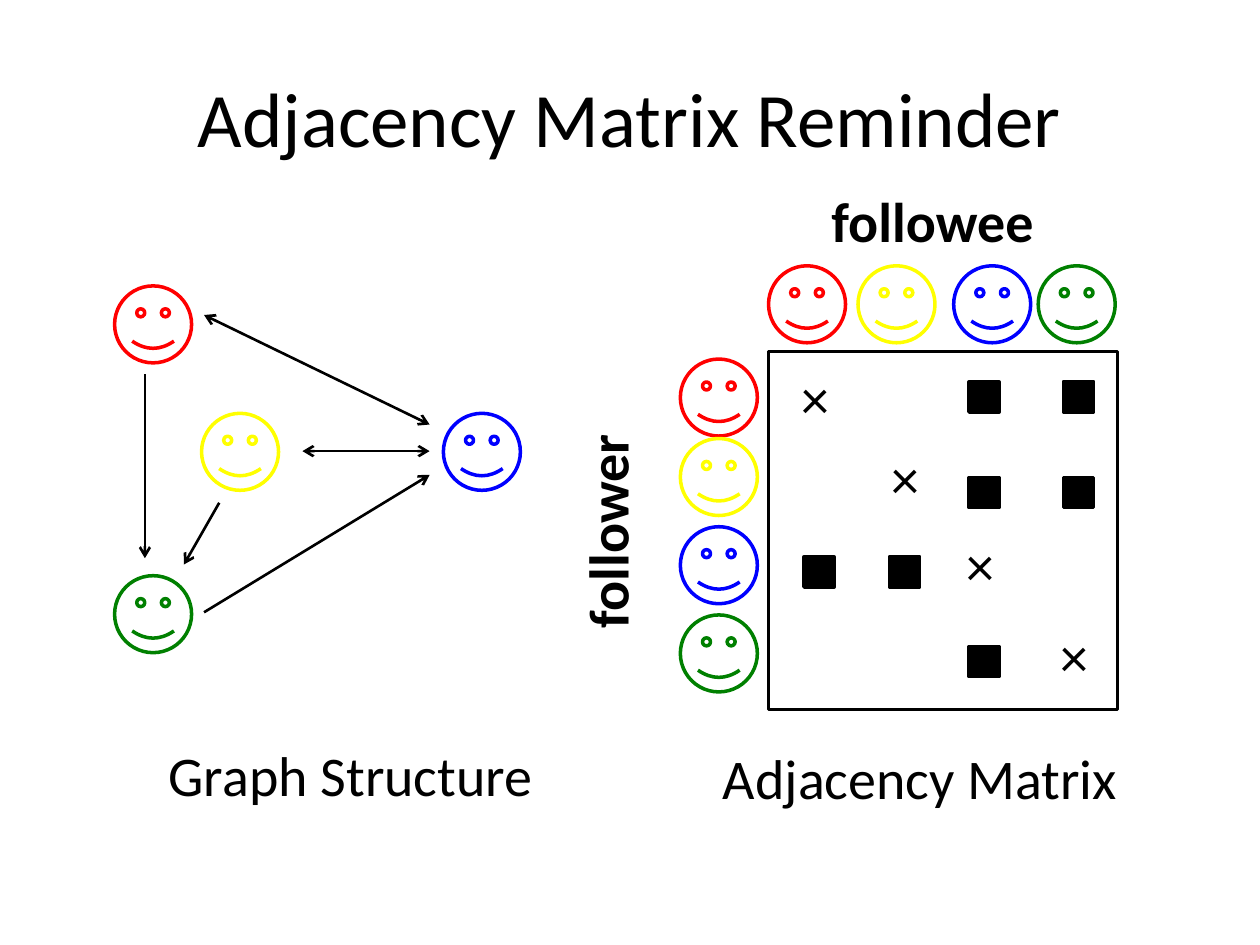
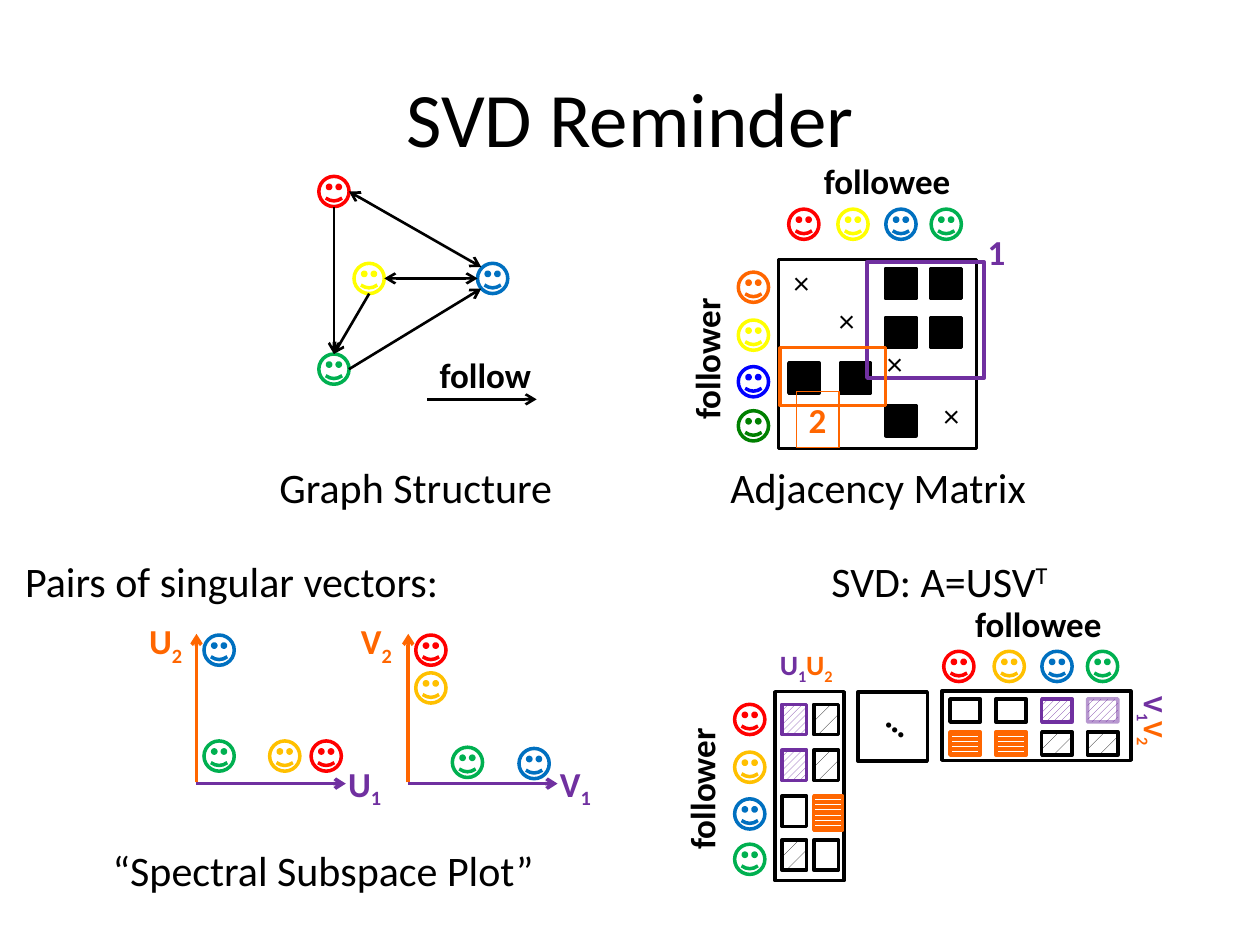
from lxml.etree import SubElement
from pptx import Presentation
from pptx.dml.color import RGBColor
from pptx.enum.dml import MSO_PATTERN as PATTERN
from pptx.enum.shapes import MSO_CONNECTOR, MSO_SHAPE as SHAPE
from pptx.enum.text import MSO_ANCHOR as ANCHOR, MSO_AUTO_SIZE as FIT, PP_ALIGN as ALIGN
from pptx.oxml.ns import qn
from pptx.util import Pt

COLORS = {
    "black": "000000", "white": "FFFFFF", "red": "FF0000", "yellow": "FFFF00",
    "blue": "0000FF", "green": "008000", "orange": "FF6600", "gold": "FFC000",
    "sky": "0070C0", "leaf": "00B050", "purple": "7030A0",
}
FONT = "Calibri"
SQUARE = 17.3  # side of a matrix entry
SMALL_FACE = 17.3
BIG_FACE = 44

# Column numbers that each row (person) follows
FOLLOWS = [(2, 3), (2, 3), (0, 1), (2,)]

# Looks of the cells of U and V: pattern, colour, line opacity
CELLS = {
    "plain": (None, "black", 100),
    "dots": (PATTERN.PERCENT_5, "black", 100),
    "hatch": (PATTERN.WIDE_UPWARD_DIAGONAL, "purple", 100),
    "pale": (PATTERN.WIDE_UPWARD_DIAGONAL, "purple", 50),
    "stripes": (PATTERN.DARK_HORIZONTAL, "orange", 100),
}


def rgb(name):
    return RGBColor.from_string(COLORS[name])


class Deck:
    def __init__(self):
        self.prs = Presentation()
        self.prs.slide_width, self.prs.slide_height = Pt(720), Pt(540)
        self.s = None

    def style(self, r, size, color="black", bold=False, baseline=0):
        r.font.name, r.font.size, r.font.bold = FONT, Pt(size), bold
        r.font.color.rgb = rgb(color)
        if baseline:
            r._r.get_or_add_rPr().set("baseline", str(baseline * 1000))

    def slide(self, title):
        self.s = self.prs.slides.add_slide(self.prs.slide_layouts[5])
        sp = self.s.shapes.title
        sp.left, sp.top, sp.width, sp.height = Pt(36), Pt(21.6), Pt(648), Pt(90)
        tf = sp.text_frame
        tf.text = title
        tf.vertical_anchor = ANCHOR.MIDDLE
        p = tf.paragraphs[0]
        p.alignment = ALIGN.CENTER
        self.style(p.runs[0], 44)

    def text(self, runs, x, y, w, h, size, bold=False, color="black",
             center=False, wrap=False, rot=0, outline=None):
        """runs is a string or a list of (text, colour, baseline percent)."""
        sp = self.s.shapes.add_textbox(Pt(x), Pt(y), Pt(w), Pt(h))
        sp.rotation = rot
        tf = sp.text_frame
        tf.word_wrap, tf.auto_size = wrap, FIT.SHAPE_TO_FIT_TEXT
        p = tf.paragraphs[0]
        p.alignment = ALIGN.CENTER if center else ALIGN.LEFT
        for words, tint, baseline in [(runs, color, 0)] if isinstance(runs, str) else runs:
            r = p.add_run()
            r.text = words
            self.style(r, size, tint, bold, baseline)
        if outline:
            sp.line.color.rgb, sp.line.width = rgb(outline), Pt(0.75)
        return sp

    def cross(self, x, y, size):
        sp = self.text("×", x, y, SQUARE, SQUARE, size, center=True, wrap=True)
        sp.text_frame.auto_size = FIT.NONE
        sp.text_frame.vertical_anchor = ANCHOR.MIDDLE

    def shape(self, kind, x, y, w, h, line="black", fill=None):
        sp = self.s.shapes.add_shape(kind, Pt(x), Pt(y), Pt(w), Pt(h))
        sp.shadow.inherit = False
        sp.line.color.rgb, sp.line.width = rgb(line), Pt(2)
        if fill:
            sp.fill.solid()
            sp.fill.fore_color.rgb = rgb(fill)
        else:
            sp.fill.background()
        return sp

    def box(self, x, y, w, h, line="black", fill=None):
        return self.shape(SHAPE.RECTANGLE, x, y, w, h, line, fill)

    def face(self, color, x, y, size=SMALL_FACE):
        self.shape(SHAPE.SMILEY_FACE, x, y, size, size, color)

    def cell(self, look, x, y, w, h):
        pattern, color, opacity = CELLS[look]
        sp = self.box(x, y, w, h, color)
        if pattern is not None:
            sp.fill.patterned()
            sp.fill.pattern = pattern
            sp.fill.fore_color.rgb, sp.fill.back_color.rgb = rgb(color), rgb("white")
        if opacity < 100:
            clr = sp._element.spPr.find(qn("a:ln")).find(".//" + qn("a:srgbClr"))
            SubElement(clr, qn("a:alpha")).set("val", str(opacity * 1000))

    def arrow(self, x1, y1, x2, y2, both=False, color="black", width=1.5):
        c = self.s.shapes.add_connector(MSO_CONNECTOR.STRAIGHT, Pt(x1), Pt(y1), Pt(x2), Pt(y2))
        c.line.color.rgb, c.line.width = rgb(color), Pt(width)
        ln = c.line._get_or_add_ln()
        for end in ("headEnd", "tailEnd") if both else ("tailEnd",):
            SubElement(ln, qn("a:" + end)).set("type", "arrow")
        SubElement(c._element.spPr, qn("a:effectLst"))

    def face_column(self, colors, x, ys, size=SMALL_FACE):
        for color, y in zip(colors, ys):
            self.face(color, x, y, size)

    def face_row(self, colors, xs, y, size=SMALL_FACE):
        for color, x in zip(colors, xs):
            self.face(color, x, y, size)

    def matrix(self, frame, xs, ys, crosses, cross_size):
        self.box(*frame)
        for y, followed in zip(ys, FOLLOWS):
            for column in followed:
                self.box(xs[column], y, SQUARE, SQUARE, fill="black")
        for x, y in crosses:
            self.cross(x, y, cross_size)

    def plot(self, letter, x, faces):
        """Axes of one pair of singular vectors, with its faces."""
        self.arrow(x, 447.1, x, 362.2, color="orange", width=2)
        self.arrow(x, 447.8, x + 85.3, 447.8, color="purple", width=2)
        for index, color, dx, y in (("1", "purple", 79.5, 432), ("2", "orange", -34.2, 350.6)):
            self.text([(letter, color, 0), (index, color, -25)], x + dx, y, 35, 31.7, 20, bold=True)
        for color, dx, y in faces:
            self.face(color, x + dx, y)


def adjacency_slide(d):
    d.slide("Adjacency Matrix Reminder")
    people = ("red", "yellow", "blue", "green")

    # Graph
    d.arrow(116.6, 349.9, 245.5, 271.4)
    d.arrow(82.8, 213.8, 82.8, 319)
    d.arrow(125.3, 287.3, 105.1, 322.6)
    d.arrow(172.8, 257.8, 245.5, 257.8, both=True)
    d.arrow(116.6, 180, 245.5, 242.6, both=True)
    spots = ((65.5, 163.4), (115.2, 236.2), (253.4, 236.2), (65.5, 329))
    for color, (x, y) in zip(people, spots):
        d.face(color, x, y, BIG_FACE)
    d.text("Graph Structure", 89.3, 419.8, 225.4, 46, 32)

    # Matrix
    d.matrix((439.2, 200.9, 199.4, 204.5), (459.4, 508.3, 553.7, 607.7),
             (218.2, 272.9, 318.2, 369.4),
             ((450.7, 218.2), (502.6, 264.2), (545, 313.9), (599, 365.8)), 32)
    d.face_row(people, (439.2, 490.3, 545, 593.3), 151.9, BIG_FACE)
    d.face_column(people, 388.8, (205.2, 250.6, 301, 351.4), BIG_FACE)
    d.text("followee", 468, 103, 131.8, 46, 32, bold=True)
    d.text("follower", 283, 279.4, 127.4, 46, 32, bold=True, rot=270)
    d.text("Adjacency Matrix", 404.6, 421.2, 242.6, 46, 32, center=True)


def svd_slide(d):
    d.slide("SVD Reminder")

    # Graph
    spots = ((182.2, 100.8), (202.3, 150.5), (272.9, 150.5), (182.2, 202.3))
    for color, (x, y) in zip(("red", "yellow", "sky", "leaf"), spots):
        d.face(color, x, y)
    d.arrow(199.4, 109.4, 275, 152.6, both=True)
    d.arrow(219.6, 159.1, 272.9, 159.1, both=True)
    d.arrow(199.4, 211, 275, 164.9)
    d.arrow(211, 167.8, 190.8, 202.3)
    d.arrow(190.8, 118.1, 190.8, 202.3)
    d.arrow(244.1, 228.2, 306.7, 228.2)
    d.text("follow", 244.1, 198.7, 68.4, 31.7, 20, bold=True)
    d.text("Graph Structure", 152.6, 259.9, 172.8, 36, 24)

    # Matrix
    d.matrix((445, 148.3, 113, 108), (450.7, 480.2, 506.2, 532.1),
             (153.4, 181.4, 207.4, 231.8),
             ((446.4, 152.6), (472.3, 174.2), (499.7, 198.7), (532.1, 228.2)), 18)
    d.face_row(("red", "yellow", "sky", "leaf"), (450.7, 478.8, 506.2, 532.1), 119.5)
    d.face_column(("orange", "yellow", "blue", "green"), 421.9, (155.5, 182.9, 209.5, 234.7))
    d.text("Adjacency Matrix", 406.8, 259.9, 190, 36, 24, center=True)

    # Axis names of the matrix and of its decomposition
    for x, y in ((463.7, 87.8), (550.1, 340.6)):
        d.text("followee", x, y, 88.6, 31.7, 20, bold=True)
    for x, y in ((361.4, 188.6), (358.6, 434.2)):
        d.text("follower", x, y, 85, 31.7, 20, bold=True, rot=270)

    # Decomposition: U, S and V
    people = ("red", "gold", "sky", "leaf")
    d.box(442.8, 395.3, 39.6, 108)
    d.box(490.3, 395.3, 39.6, 39.6)
    d.box(538.2, 394.9, 108, 39.6)
    d.face_column(people, 419.8, (402.5, 429.8, 456.5, 482.4))
    d.face_row(people, (539.3, 568.1, 595.4, 621.4), 372.2)
    u_rows = (("hatch", "dots"), ("hatch", "dots"), ("plain", "stripes"), ("dots", "plain"))
    for y, looks in zip((402.5, 428.7, 455, 480), u_rows):
        for x, look in zip((446.8, 465), looks):
            w, h = (16.6, 19.4) if look == "stripes" else (14.2, 17.3)
            d.cell(look, x, y, w, h)
    v_rows = (("plain", "plain", "hatch", "pale"), ("stripes", "stripes", "dots", "dots"))
    for y, looks in zip((399.4, 418.3), v_rows):
        for column, look in enumerate(looks):
            d.cell(look, 542.9 + 26.2 * column, y, 17.3, 13.2)
    d.text("…", 501.1, 396.7, 28.8, 31.7, 20, bold=True, rot=38.5)
    for letter, x, y, rot in (("U", 438.5, 366.5, 0), ("V", 631.4, 406.1, 90)):
        d.text([(letter, "purple", 0), ("1", "purple", -25),
                (letter, "orange", 0), ("2", "orange", -25)],
               x, y, 56.9, 26.6, 16, bold=True, wrap=True, rot=rot)

    # Plots of singular vectors
    d.plot("U", 112.3, (("red", 65.5, 423.4), ("gold", 41.8, 423.4),
                        ("leaf", 4.3, 423.4), ("sky", 4.3, 362.9)))
    d.plot("V", 233.3, (("sky", 63.3, 427.7), ("leaf", 25.2, 427),
                        ("red", 4.3, 362.9), ("gold", 4.3, 384.5)))

    # Captions
    d.text("“Spectral Subspace Plot”", 20.9, 478.8, 327.6, 36, 24, center=True, wrap=True)
    d.text("Pairs of singular vectors:", 7.2, 313.9, 327.6, 36, 24, wrap=True)
    d.text([("SVD: A=USV", "black", 0), ("T", "black", 30)],
           373, 313.9, 327.6, 36, 24, center=True, wrap=True)

    # Marked blocks of the matrix
    d.box(495.4, 149.8, 67, 66.2, "purple")
    d.text("1", 557.3, 128.2, 24.5, 31.7, 20, bold=True, color="purple")
    d.box(445.7, 198.7, 60.5, 33.1, "orange")
    d.text("2", 455, 223.9, 24.5, 31.7, 20, bold=True, color="orange", outline="orange")


def main():
    d = Deck()
    adjacency_slide(d)
    svd_slide(d)
    d.prs.save("out.pptx")


if __name__ == "__main__":
    main()
